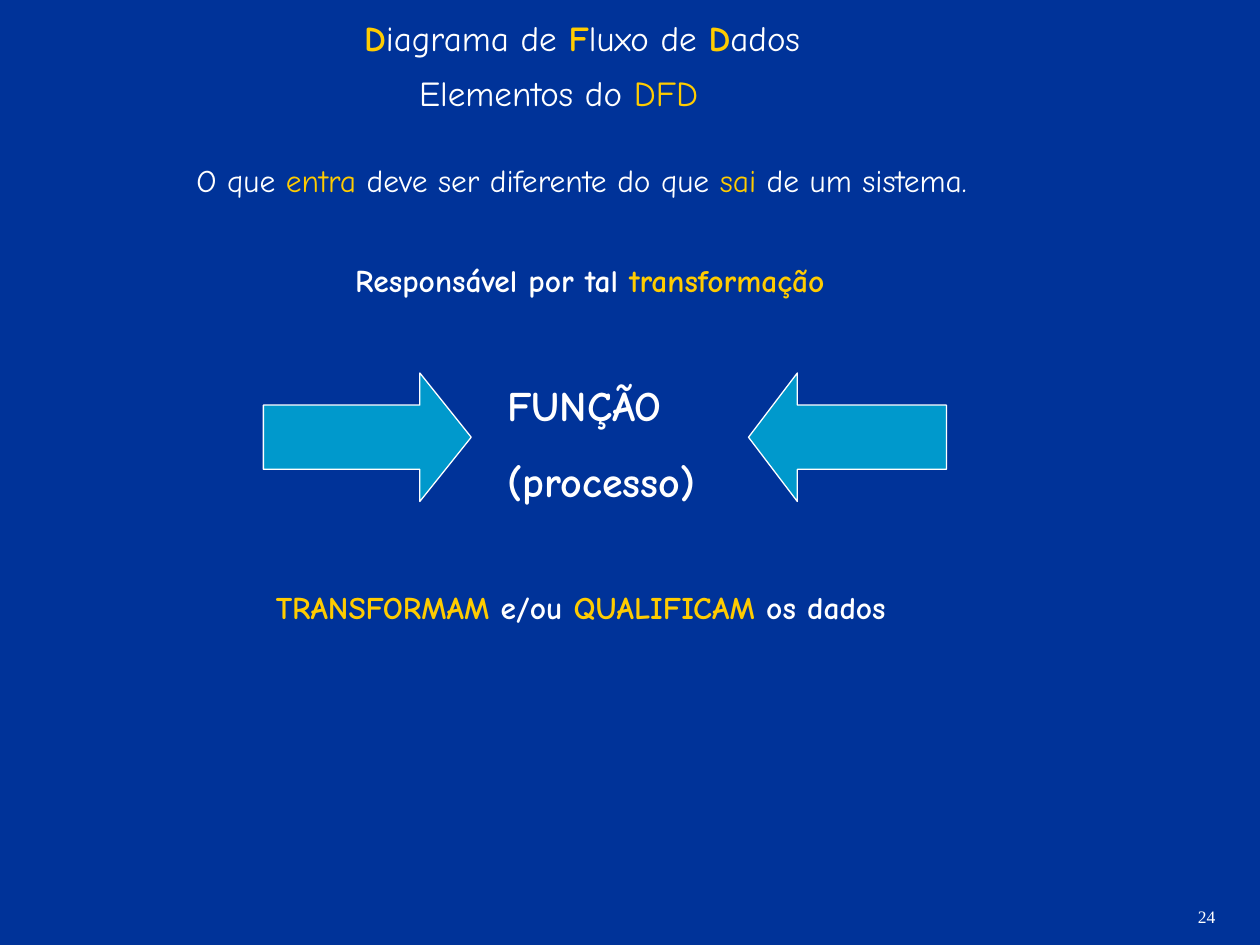
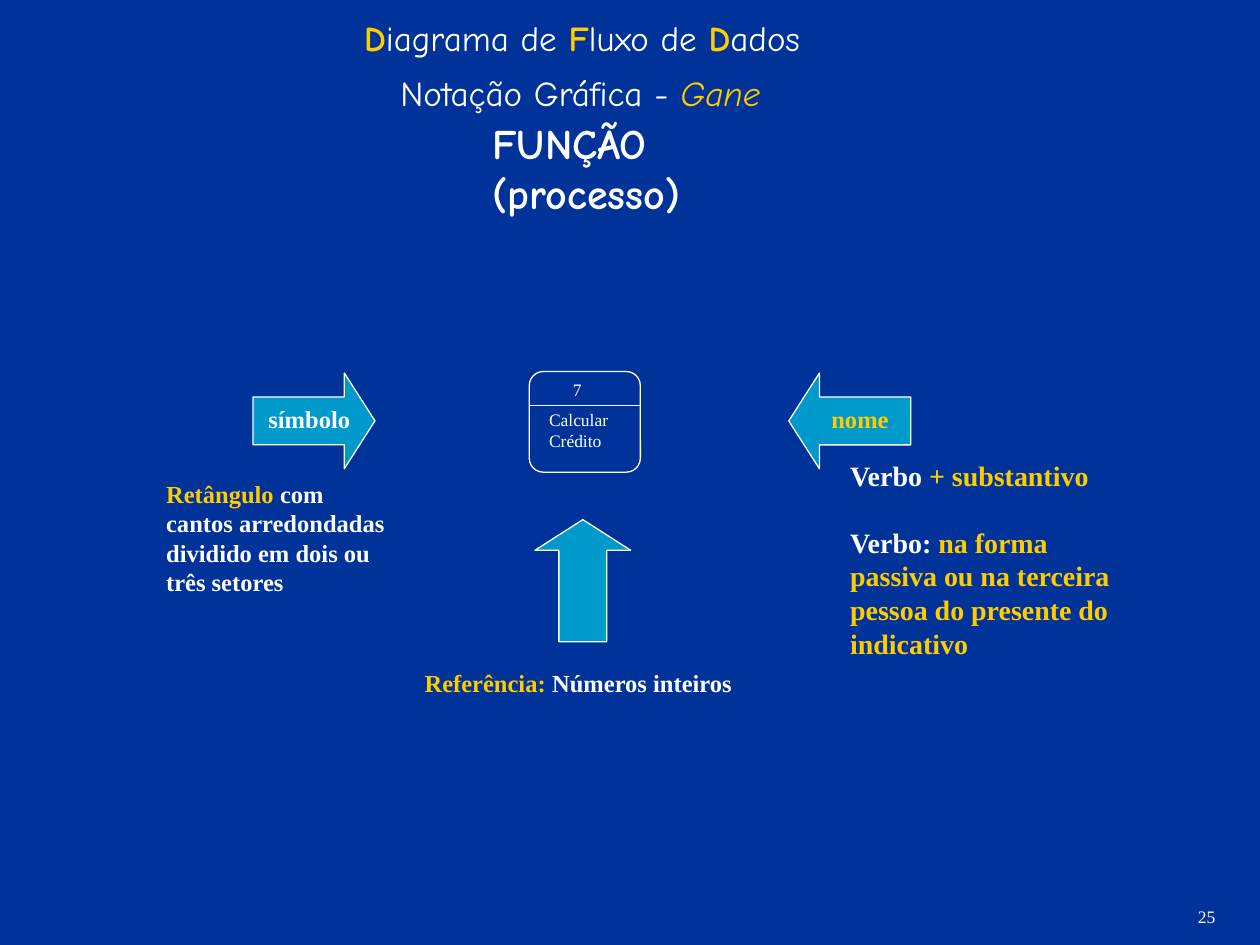
from lxml import etree
from pptx import Presentation
from pptx.dml.color import RGBColor
from pptx.enum.shapes import MSO_CONNECTOR, MSO_SHAPE
from pptx.enum.text import MSO_ANCHOR, MSO_AUTO_SIZE
from pptx.oxml.ns import qn
from pptx.util import Cm, Pt

RIGHT_ARROW = MSO_SHAPE.RIGHT_ARROW
LEFT_ARROW = MSO_SHAPE.LEFT_ARROW
ROUNDED = MSO_SHAPE.ROUNDED_RECTANGLE
STRAIGHT = MSO_CONNECTOR.STRAIGHT
TOP = MSO_ANCHOR.TOP
NO_AUTOFIT = MSO_AUTO_SIZE.NONE

NAVY = "003399"
CYAN = "0099CC"
WHITE = "FFFFFF"
YELLOW = "FFCC00"

HEADING = {"name": "Comic Neue", "size": Pt(20), "bold": False}
SENTENCE = {**HEADING, "size": Pt(18)}
STRONG = {**SENTENCE, "bold": True}
FUNCTION = {**STRONG, "size": Pt(24)}
SMALL = {"name": "Times New Roman", "size": Pt(10), "bold": False}
LABEL = {**SMALL, "size": Pt(14), "bold": True}
RULE = {**LABEL, "size": Pt(16)}


def color(value):
    return RGBColor.from_string(value)


class Board:
    def __init__(self):
        self.deck = Presentation()
        self.deck.slide_width = Cm(25.4)
        self.deck.slide_height = Cm(19.05)
        self.page = None

    def add_page(self, number, subtitle_left, subtitle):
        self.page = self.deck.slides.add_slide(self.deck.slide_layouts[6])
        background = self.page.background.fill
        background.solid()
        background.fore_color.rgb = color(NAVY)
        title = []
        for initial, rest in (("D", "iagrama de "), ("F", "luxo de "), ("D", "ados")):
            title += [(initial, YELLOW, {"bold": True}), (rest, WHITE)]
        self.text((7.09, 0.2, 10.59, 1.12), HEADING, [title], 12.5)
        self.text((subtitle_left, 1.32, 9.09, 1.12), HEADING, [subtitle], 12.5)
        self.text((23.9, 18.14, 1.19, 0.69), SMALL, [[(number, WHITE)]])

    def text(self, place, style, paras, before=0):
        box = self.page.shapes.add_textbox(*map(Cm, place))
        frame = box.text_frame
        settings = {"word_wrap": True, "auto_size": NO_AUTOFIT, "vertical_anchor": TOP}
        for name, value in settings.items():
            setattr(frame, name, value)
        for index, spans in enumerate(paras):
            para = frame.add_paragraph() if index else frame.paragraphs[0]
            para.space_before = Pt(before)
            for content, ink, *extra in spans:
                span = para.add_run()
                span.text = content
                span.font.color.rgb = color(ink)
                formats = {**style, **(extra[0] if extra else {})}
                for name, value in formats.items():
                    setattr(span.font, name, value)
        return frame

    def shape(self, kind, place, adjustments, fill=None, rotation=0):
        shape = self.page.shapes.add_shape(kind, *map(Cm, place))
        shape.shadow.inherit = False
        shape.rotation = rotation
        for index, value in enumerate(adjustments):
            shape.adjustments[index] = value
        if fill:
            shape.fill.solid()
            shape.fill.fore_color.rgb = color(fill)
        else:
            shape.fill.background()
        self.outline(shape)

    def arrow(self, kind, place, head, rotation=0):
        self.shape(kind, place, (0.5, head), CYAN, rotation)

    def small_arrow(self, left, top, rotation=0):
        self.arrow(RIGHT_ARROW, (left, top, 2.46, 1.93), 0.32, rotation)

    def line(self, left, right, height):
        line = self.page.shapes.add_connector(
            STRAIGHT, Cm(left), Cm(height), Cm(right), Cm(height)
        )
        etree.SubElement(line._element.spPr, qn("a:effectLst"))
        self.outline(line)

    def outline(self, item):
        item.line.color.rgb = color(WHITE)
        item.line.width = Pt(0.75)


def build_elements(board):
    board.add_page("24", 8.2, [("Elementos do ", WHITE), ("DFD", YELLOW)])
    board.text((9.98, 7.52, 5.31, 2.82), FUNCTION,
               [[("FUNÇÃO", WHITE)], [("(processo)", WHITE)]], 15)
    sentences = (
        ((3.71, 3.12, 17.6, 1.02), SENTENCE,
         [("O que ", WHITE), ("entra ", YELLOW), ("deve ser diferente do que ", WHITE),
          ("sai ", YELLOW), ("de um sistema.", WHITE)]),
        ((6.91, 5.13, 11.99, 1.02), STRONG,
         [("Responsável por tal", WHITE), (" transformação", YELLOW)]),
        ((5.31, 11.73, 15.39, 1.02), STRONG,
         [("TRANSFORMAM ", YELLOW), ("e/ou", WHITE), (" QUALIFICAM ", YELLOW),
          ("os dados", WHITE)]),
    )
    for place, style, spans in sentences:
        board.text(place, style, [spans], 11.2)
    board.arrow(RIGHT_ARROW, (5.31, 7.52, 4.19, 2.59), 0.4)
    board.arrow(LEFT_ARROW, (15.09, 7.52, 3.99, 2.59), 0.38)


def build_notation(board):
    board.add_page("25", 7.82, [("Notação Gráfica - ", WHITE),
                                ("Gane", YELLOW, {"italic": True})])
    board.text((9.68, 2.24, 4.83, 2.29), FUNCTION, [[("FUNÇÃO (processo)", WHITE)]], 15)

    board.shape(ROUNDED, (10.67, 7.49, 2.24, 2.03), (0.14,))
    board.line(10.67, 12.91, 8.18)
    board.text((11.3, 7.52, 1.07, 0.69), SMALL, [[("7", WHITE)]], 6.2)
    board.text((10.82, 8.13, 1.7, 1.96), SMALL, [[("Calcular Crédito", WHITE)]], 6.2)

    board.small_arrow(5.1, 7.52)
    board.small_arrow(15.9, 7.52, 180)
    board.small_arrow(10.52, 10.74, 270)
    labels = (
        ((5.16, 8.03, 2.21, 0.86), [("símbolo", WHITE)]),
        ((16.51, 8.03, 1.78, 0.86), [("nome", YELLOW)]),
        ((8.31, 13.34, 6.81, 0.86), [("Referência:", YELLOW), (" Números inteiros", WHITE)]),
    )
    for place, spans in labels:
        board.text(place, LABEL, [spans], 8.8)
    board.text((3.1, 9.53, 5, 2.64), LABEL,
               [[("Retângulo", YELLOW),
                 (" com cantos arredondadas dividido em dois ou três setores", WHITE)]])
    rules = board.text(
        (16.89, 9.12, 5.99, 4.32), RULE,
        [[("Verbo", WHITE), (" + substantivo", YELLOW)],
         [("Verbo:", WHITE),
          (" na forma passiva ou na terceira pessoa do presente do indicativo", YELLOW)]])
    rules.paragraphs[1].space_before = Pt(19)


def main():
    board = Board()
    build_elements(board)
    build_notation(board)
    board.deck.save("out.pptx")


if __name__ == "__main__":
    main()
